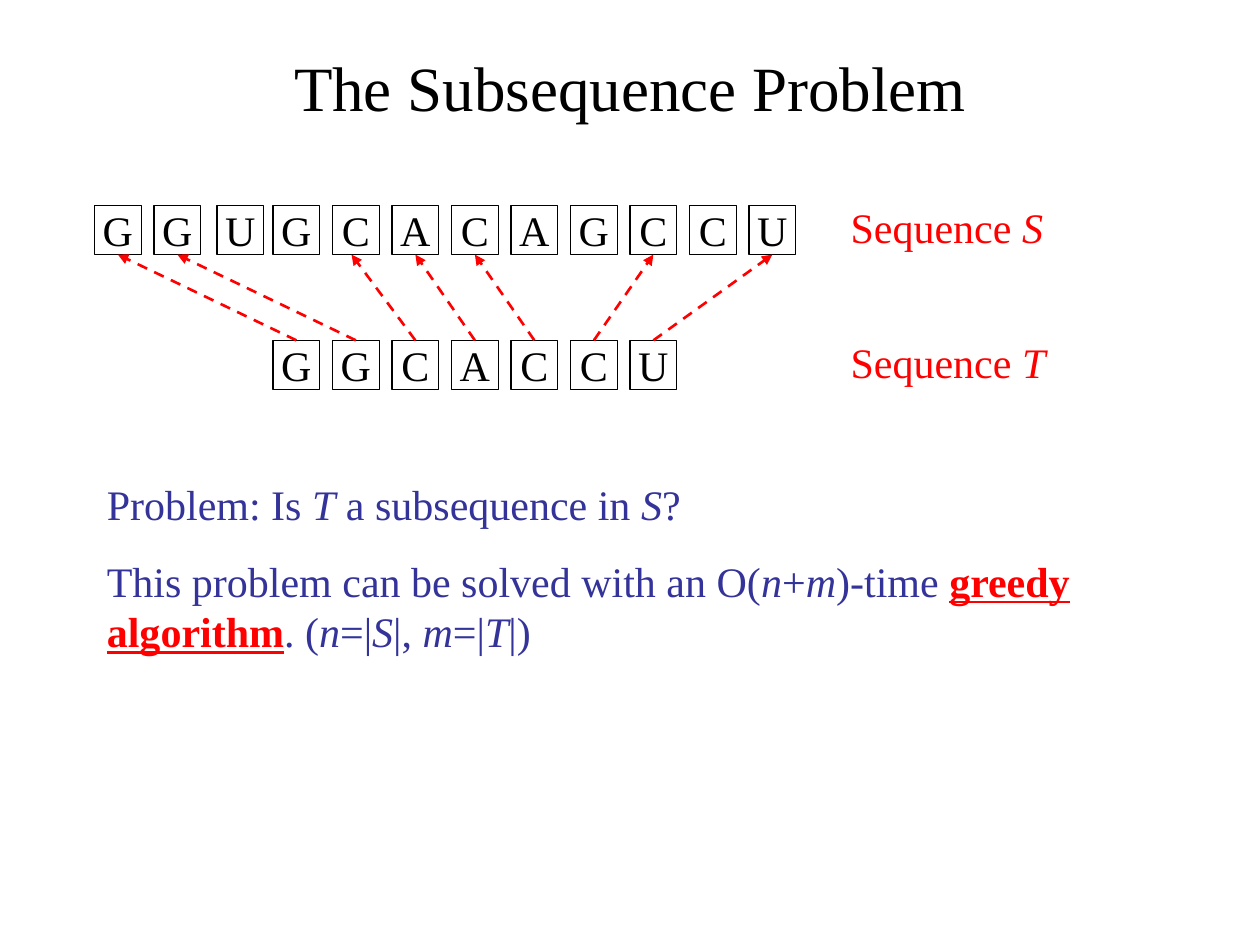
"""Build the slide that introduces the subsequence problem."""
from lxml import etree
from pptx import Presentation
from pptx.dml.color import RGBColor
from pptx.enum import dml, shapes, text
from pptx.oxml.ns import qn
from pptx.util import Pt

BLACK, WHITE, RED, BLUE = "000000", "FFFFFF", "FF0000", "333399"
ITALIC = {"italic": True}
KEYWORD = {"bold": True, "underline": True, "color": RED}
LEFT, PITCH, BOX_W, BOX_H = 54, 34, 26.75, 28.25
S_TOP, T_TOP = 117.25, 194.5


def rgb(value):
    return RGBColor.from_string(value)


def write(sp, paragraphs, size, color, align, anchor, wrap=True):
    tf = sp.text_frame
    tf.word_wrap = wrap
    tf.vertical_anchor = anchor
    for i, runs in enumerate(paragraphs):
        p = tf.add_paragraph() if i else tf.paragraphs[0]
        p.alignment = align
        if i:
            p.space_before = Pt(15)
        for content, extra in runs:
            r = p.add_run()
            r.text = content
            values = {"name": "Times New Roman", "size": Pt(size), "color": color, **extra}
            r.font.color.rgb = rgb(values.pop("color"))
            for key, value in values.items():
                setattr(r.font, key, value)


prs = Presentation()
prs.slide_width, prs.slide_height = Pt(720), Pt(540)
s = prs.slides.add_slide(prs.slide_layouts[6])

problem = [
    [("Problem: Is ", {}), ("T", ITALIC), (" a subsequence in ", {}), ("S", ITALIC), ("?", {})],
    [("This problem can be solved with an O(", {}), ("n", ITALIC), ("+", {}), ("m", ITALIC),
     (")-time ", {}), ("greedy algorithm", KEYWORD), (". (", {}), ("n", ITALIC), ("=|", {}),
     ("S", ITALIC), ("|, ", {}), ("m", ITALIC), ("=|", {}), ("T", ITALIC), ("|)", {})],
]
left, center = text.PP_ALIGN.LEFT, text.PP_ALIGN.CENTER
top, middle = text.MSO_ANCHOR.TOP, text.MSO_ANCHOR.MIDDLE
for box, paragraphs, size, color, align, anchor in [
    ((36, 21.5, 648, 55.5), [[("The Subsequence Problem", {})]], 36, BLACK, center, middle),
    ((479, 111.5, 124.5, 36), [[("Sequence ", {}), ("S", ITALIC)]], 24, RED, left, top),
    ((479, 188.75, 136, 36), [[("Sequence ", {}), ("T", ITALIC)]], 24, RED, left, top),
    ((54, 270, 612.5, 109), problem, 24, BLUE, left, top),
]:
    sp = s.shapes.add_textbox(*map(Pt, box))
    write(sp, paragraphs, size, color, align, anchor)

rows = []
for letters, first, y, nudges in [("GGUGCACAGCCU", 0, S_TOP, {2: 2}), ("GGCACCU", 3, T_TOP, {})]:
    row = []
    for i, letter in enumerate(letters):
        x = LEFT + (first + i) * PITCH + nudges.get(i, 0)
        sp = s.shapes.add_shape(shapes.MSO_SHAPE.RECTANGLE, Pt(x), Pt(y), Pt(BOX_W), Pt(BOX_H))
        sp.shadow.inherit = False
        sp.fill.solid()
        sp.fill.fore_color.rgb = rgb(WHITE)
        sp.line.color.rgb = rgb(BLACK)
        sp.line.width = Pt(0.75)
        write(sp, [[(letter, {})]], 24, BLACK, center, middle, wrap=False)
        row.append(sp)
    rows.append(row)

s_row, t_row = rows
end_nudges = {4: -2.5}
for start, match in zip(t_row, [0, 1, 4, 5, 6, 9, 11]):
    end = s_row[match]
    nudge = end_nudges.get(match, 0)
    arrow = s.shapes.add_connector(
        shapes.MSO_CONNECTOR.STRAIGHT, start.left + start.width // 2, start.top,
        end.left + end.width // 2 + Pt(nudge), end.top + end.height)
    arrow.begin_connect(start, 0)
    if not nudge:
        arrow.end_connect(end, 2)
    arrow.line.color.rgb = rgb(RED)
    arrow.line.width = Pt(1.5)
    arrow.line.dash_style = dml.MSO_LINE.DASH
    etree.SubElement(arrow.line._get_or_add_ln(), qn("a:tailEnd"), type="triangle")
    etree.SubElement(arrow._element.spPr, qn("a:effectLst"))

prs.save("out.pptx")
